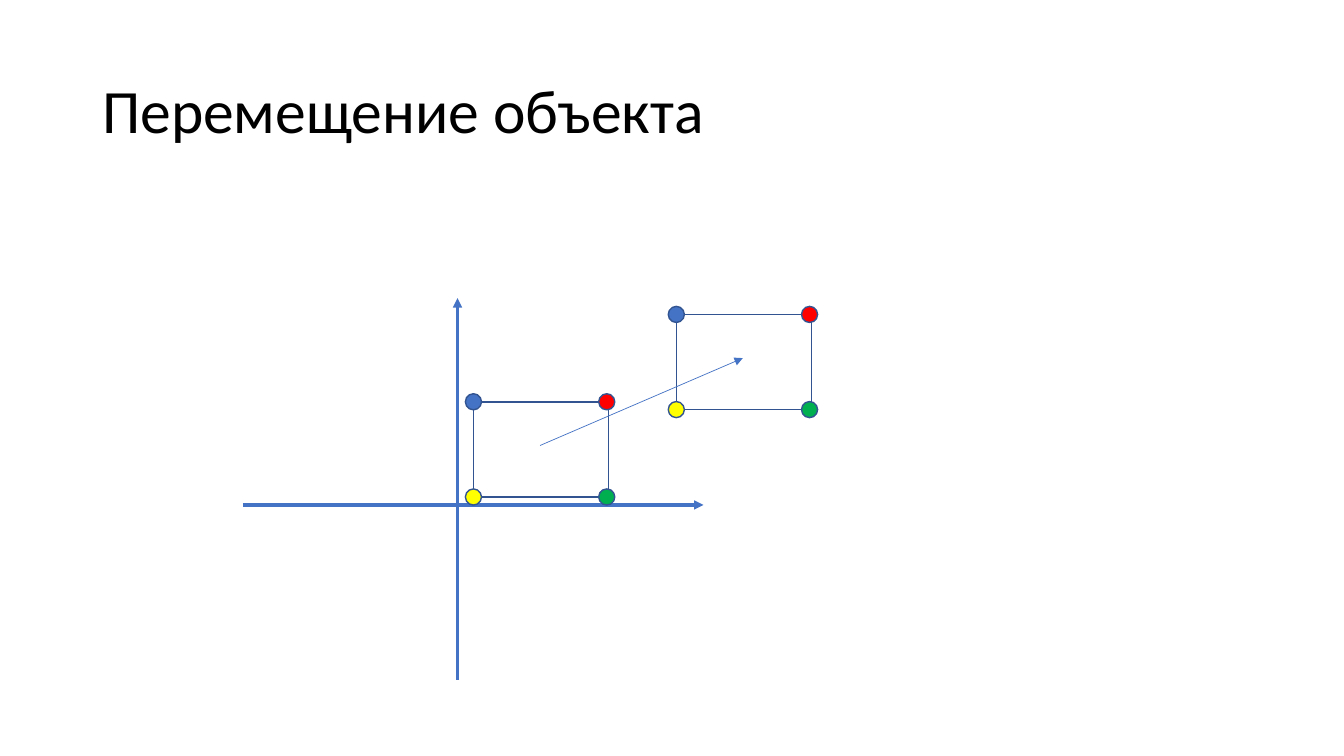
from itertools import product

from pptx import Presentation
from pptx.dml.color import RGBColor
from pptx.enum.shapes import MSO_CONNECTOR as CONN, MSO_SHAPE as SHAPE
from pptx.enum.text import MSO_ANCHOR as ANCHOR, PP_ALIGN as ALIGN
from pptx.oxml.ns import qn
from pptx.util import Pt
from lxml.etree import SubElement

COLORS = {
    "text": "000000", "axis": "4472C4", "outline": "325491",
    "blue": "4472C4", "red": "FF0000", "yellow": "FFFF00", "green": "00B050",
}


class SlideBuilder:
    font = "Calibri"
    dot = 11.5
    rect_w, rect_h = 96.4, 68
    dot_step_x = 95.2

    def __init__(self, slide):
        self.s = slide

    def color(self, name):
        return RGBColor.from_string(COLORS[name])

    def title(self, text, x, y, w, h):
        sp = self.s.shapes.title
        sp.left, sp.top, sp.width, sp.height = Pt(x), Pt(y), Pt(w), Pt(h)
        tf = sp.text_frame
        tf.word_wrap = True
        tf.vertical_anchor = ANCHOR.MIDDLE
        p = tf.paragraphs[0]
        p.alignment = ALIGN.LEFT
        p.line_spacing = 0.9
        r = p.add_run()
        r.text = text
        r.font.name, r.font.size = self.font, Pt(44)
        r.font.color.rgb = self.color("text")

    def arrow(self, x1, y1, x2, y2, width):
        cn = self.s.shapes.add_connector(
            CONN.STRAIGHT, Pt(x1), Pt(y1), Pt(x2), Pt(y2))
        cn.line.color.rgb = self.color("axis")
        cn.line.width = Pt(width)
        SubElement(cn.line._get_or_add_ln(), qn("a:tailEnd"), type="triangle")
        SubElement(cn._element.spPr, qn("a:effectLst"))

    def shape(self, parent, kind, x, y, w, h, fill=None):
        sp = parent.shapes.add_shape(kind, Pt(x), Pt(y), Pt(w), Pt(h))
        sp.shadow.inherit = False
        sp.line.color.rgb = self.color("outline")
        sp.line.width = Pt(1)
        if fill:
            sp.fill.solid()
            sp.fill.fore_color.rgb = self.color(fill)
        else:
            sp.fill.background()

    def marked_rectangle(self, x, y):
        group = self.s.shapes.add_group_shape()
        self.shape(group, SHAPE.RECTANGLE, x, y, self.rect_w, self.rect_h)
        corners = product((0, self.rect_h), (0, self.dot_step_x))
        for (dy, dx), fill in zip(corners, ("blue", "red", "yellow", "green")):
            self.shape(group, SHAPE.OVAL, x + dx - self.dot / 2,
                       y + dy - self.dot / 2, self.dot, self.dot, fill)


def main():
    prs = Presentation()
    prs.slide_width, prs.slide_height = Pt(960), Pt(540)
    b = SlideBuilder(prs.slides.add_slide(prs.slide_layouts[5]))

    b.title("Перемещение объекта", 66, 28.75, 828, 104.4)

    # Coordinate axes
    b.arrow(326.8, 485.5, 326.8, 213, 2.25)
    b.arrow(173.5, 360.7, 502.5, 360.7, 2.25)

    # Object before and after the move
    b.marked_rectangle(338.2, 287)
    b.marked_rectangle(483.1, 224.6)

    # Displacement vector
    b.arrow(385.8, 318.2, 530.6, 255.8, 0.5)

    prs.save("out.pptx")


if __name__ == "__main__":
    main()
